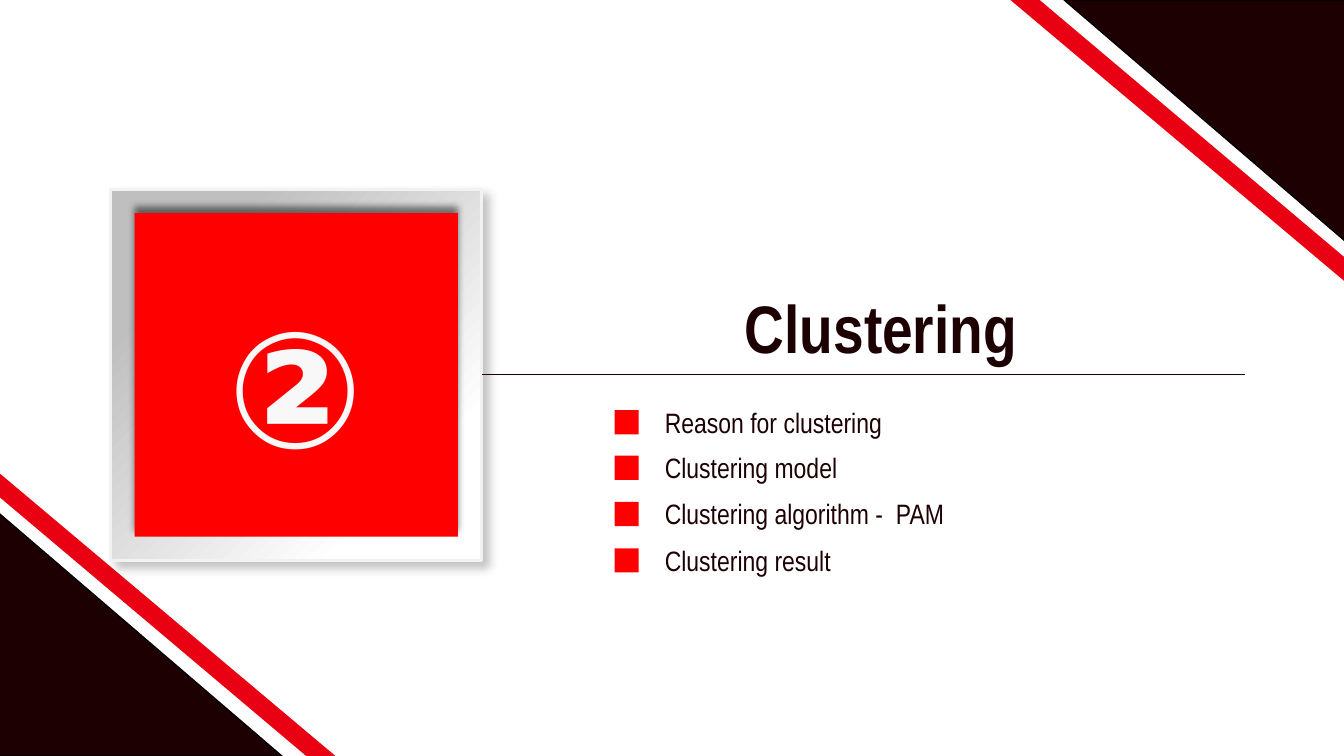
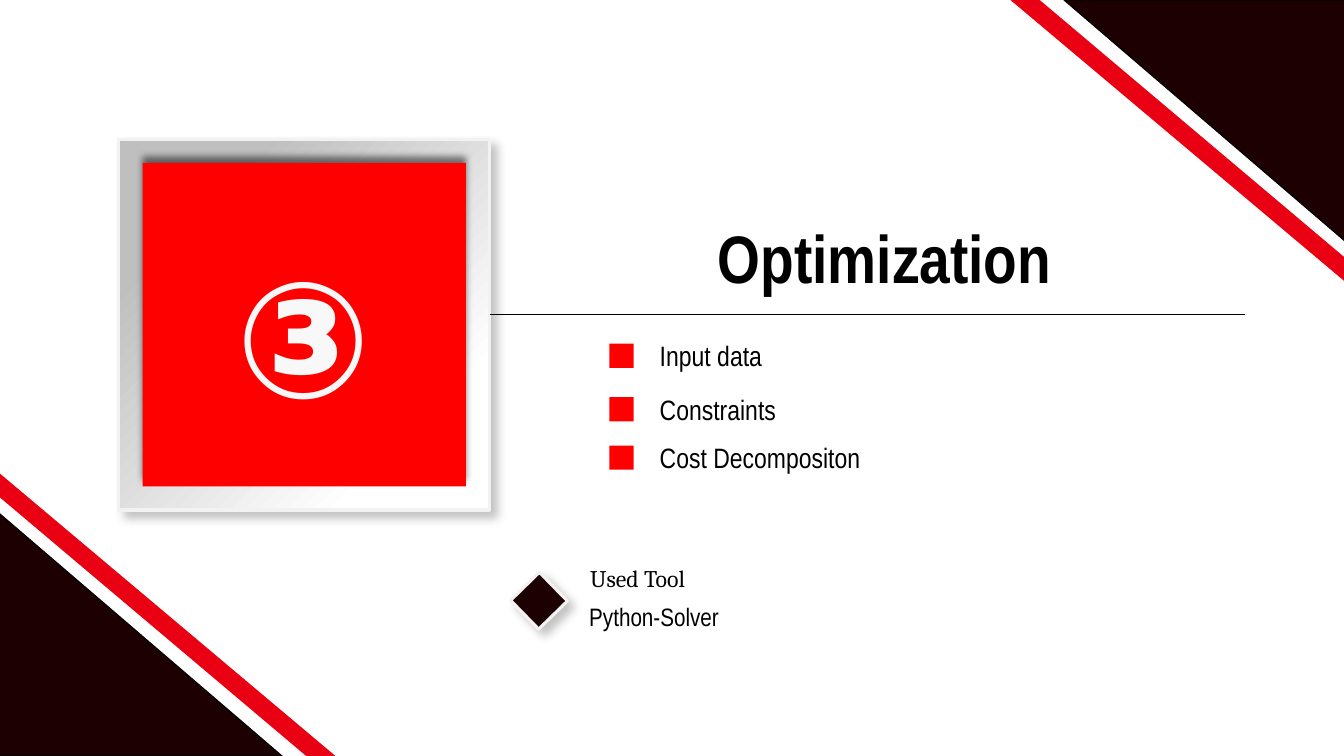
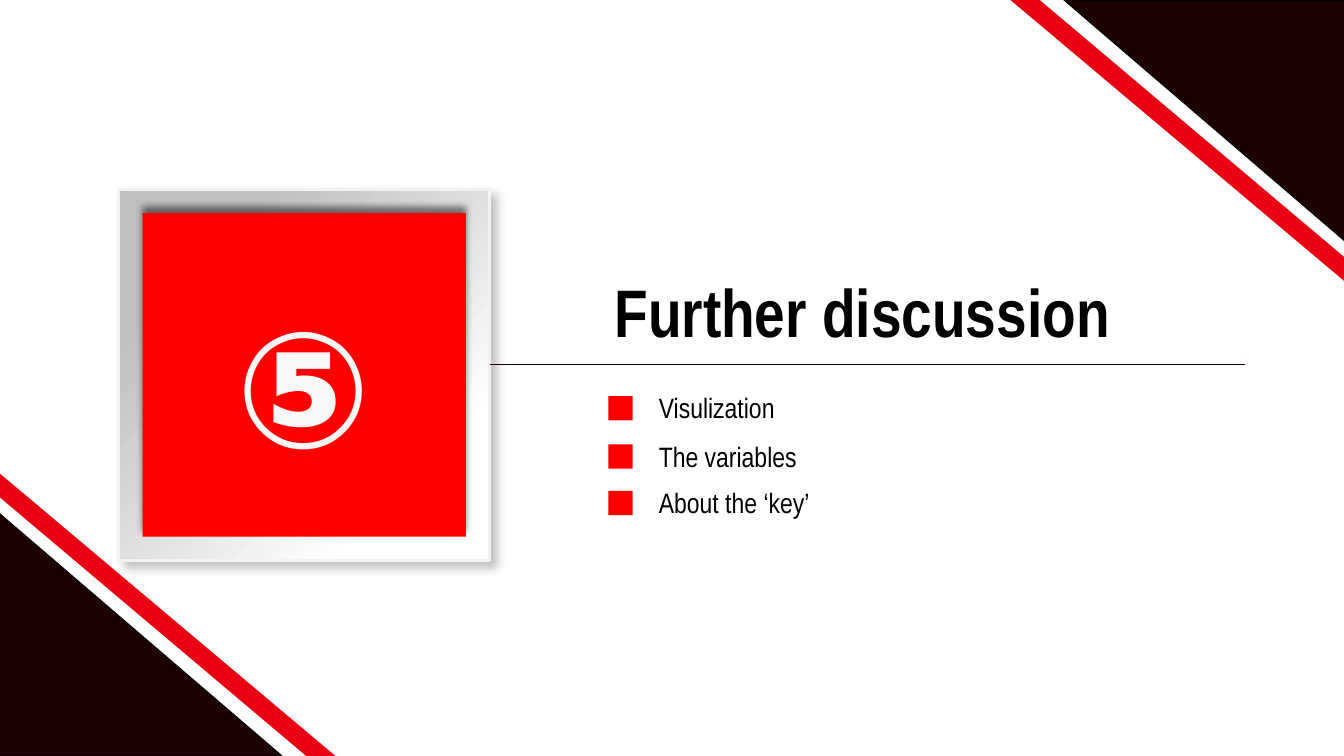
import pptx
import pptx.util
import pptx.dml.color
import pptx.enum.shapes
import pptx.enum.text
import pptx.oxml.ns
from lxml import etree

Inches, Pt = pptx.util.Inches, pptx.util.Pt
SHAPE = pptx.enum.shapes.MSO_SHAPE
ALIGN = pptx.enum.text.PP_ALIGN
qn = pptx.oxml.ns.qn

COLORS = {"dark": "1C0002", "black": "000000", "stripe": "E90012", "red": "FF0000",
          "silver": "BFBFBF", "white": "FFFFFF", "edge": "F2F2F2", "number": "F8F8F8"}
FONT = "Arial Narrow"
WIDTH, HEIGHT = 13.34, 7.5
FRAME, INNER = 3.68, 3.21
BULLET = 0.24
RULE_END = 12.36
# Shadows: opacity %, blur pt, distance pt, direction in degrees
SOFT_SHADOW = (23, 7, 5.9, 45)
INSET_SHADOW = (50, 5, 4.5, 270)

STRIPE = [(-0.01, 4.69), (3.33, 7.5), (3.04, 7.5), (-0.03, 4.91)]

SECTIONS = [
    {"number": "②", "frame": (1.1, 1.88), "title": "Clustering",
     "title_at": (4.96, 2.79, 7.57), "rule": 3.72,
     "text_color": "dark", "rule_color": "dark", "bullet_left": 6.1,
     "bullets": [("Reason for clustering", 4.07), ("Clustering model", 4.52),
                 ("Clustering algorithm -  PAM", 4.98), ("Clustering result", 5.44)]},
    {"number": "③", "frame": (1.18, 1.38), "title": "Optimization",
     "title_at": (5.19, 2.1, 7.18), "rule": 3.12,
     "text_color": "black", "rule_color": "black", "bullet_left": 6.05,
     "bullets": [("Input data", 3.41), ("Constraints", 3.94), ("Cost Decompositon", 4.42)],
     "tool": ("Used Tool", "Python-Solver")},
    {"number": "⑤", "frame": (1.18, 1.88), "title": "Further discussion",
     "title_at": (4.65, 2.63, 7.82), "rule": 3.62,
     "text_color": "black", "rule_color": "dark", "bullet_left": 6.04,
     "bullets": [("Visulization", 3.93), ("The variables", 4.41), ("About the ‘key’", 4.87)]},
]


def rgb(name):
    return pptx.dml.color.RGBColor.from_string(COLORS[name])


def style(shape, fill, line=None, weight=0.75, shadow=None):
    """Set fill (None keeps the present one), outline and shadow."""
    if fill:
        shape.fill.solid()
        shape.fill.fore_color.rgb = rgb(fill)
    if line:
        shape.line.color.rgb = rgb(line)
        shape.line.width = Pt(weight)
    else:
        shape.line.fill.background()
    shape.shadow.inherit = False
    if shadow:
        opacity, blur, distance, direction = shadow
        effects = shape.element.spPr.find(qn("a:effectLst"))
        outer = etree.SubElement(effects, qn("a:outerShdw"), blurRad=str(Pt(blur)),
                                 dist=str(Pt(distance)), dir=str(direction * 60000),
                                 algn="ctr", rotWithShape="0")
        color = etree.SubElement(outer, qn("a:srgbClr"), val=COLORS["black"])
        etree.SubElement(color, qn("a:alpha"), val=str(opacity * 1000))


def add_block(page, kind, left, top, width, height):
    return page.shapes.add_shape(kind, Inches(left), Inches(top), Inches(width), Inches(height))


def add_text(page, text, left, top, width, height, size, color,
             bold=False, align=ALIGN.LEFT, font=FONT, spacing=None):
    box = page.shapes.add_textbox(Inches(left), Inches(top), Inches(width), Inches(height))
    box.text_frame.word_wrap = True
    box.text_frame.text = text
    para = box.text_frame.paragraphs[0]
    para.alignment = align
    if spacing:
        para.line_spacing = spacing
    span = para.runs[0].font
    span.name, span.size, span.bold = font, Pt(size), bold
    span.color.rgb = rgb(color)


def add_corners(page):
    """Dark triangle and red stripe at bottom left, turned half round at top right."""
    tri_width, tri_height = 2.81, 2.41
    for turned in (False, True):
        left, top = (10.56, 0) if turned else (-0.01, HEIGHT - tri_height)
        triangle = add_block(page, SHAPE.RIGHT_TRIANGLE, left, top, tri_width, tri_height)
        triangle.rotation = 180 if turned else 0
        style(triangle, "dark", "black")
        points = [(13.36 - x, HEIGHT - y) if turned else (x, y) for x, y in STRIPE]
        corners = [(Inches(x), Inches(y)) for x, y in points]
        builder = page.shapes.build_freeform(*corners[0])
        builder.add_line_segments(corners[1:], close=True)
        style(builder.convert_to_shape(), "stripe")


def add_number_frame(page, number, left, top):
    frame = add_block(page, SHAPE.RECTANGLE, left, top, FRAME, FRAME)
    frame.fill.gradient()
    frame.fill.gradient_angle = 315
    for stop, (position, color) in zip(frame.fill.gradient_stops,
                                       [(0.2, "silver"), (0.8, "white")]):
        stop.position = position
        stop.color.rgb = rgb(color)
    style(frame, None, "edge", 2.25, SOFT_SHADOW)
    inset = (FRAME - INNER) / 2
    panel = add_block(page, SHAPE.RECTANGLE, left + inset, top + inset, INNER, INNER)
    style(panel, "red", shadow=INSET_SHADOW)
    add_text(page, number, left + 0.35, top + 0.34, 2.97, 2.36, 115, "number",
             bold=True, align=ALIGN.CENTER, spacing=1.3)
    return frame


def add_rule(page, frame, left, top, color):
    """Line under the title, joined to the frame where it meets the side's middle."""
    rule = page.shapes.add_connector(pptx.enum.shapes.MSO_CONNECTOR.STRAIGHT,
                                     Inches(left), Inches(top), Inches(RULE_END), Inches(top))
    if abs(frame.top + frame.height / 2 - Inches(top)) < Inches(0.01):
        rule.begin_connect(frame, 3)
        rule.end_y = rule.begin_y
    rule.line.color.rgb = rgb(color)
    rule.line.width = Pt(0.75)
    etree.SubElement(rule.element.spPr, qn("a:effectLst"))


def add_tool(page, heading, name):
    diamond = add_block(page, SHAPE.RECTANGLE, 5.15, 5.76, 0.4, 0.4)
    diamond.rotation = 45.7
    style(diamond, "dark", "edge", 2.25, SOFT_SHADOW)
    add_text(page, heading, 5.76, 5.54, 1.75, 0.39, 17, "black", font="Cambria")
    add_text(page, name, 5.75, 5.92, 2.38, 0.64, 18, "black", align=ALIGN.JUSTIFY)


def add_section(deck, section):
    page = deck.slides.add_slide(deck.slide_layouts[6])
    add_corners(page)
    left, top = section["frame"]
    frame = add_number_frame(page, section["number"], left, top)
    add_rule(page, frame, left + FRAME, section["rule"], section["rule_color"])
    add_text(page, section["title"], *section["title_at"], 0.91, 48, section["text_color"],
             bold=True, align=ALIGN.CENTER)
    for label, bullet_top in section["bullets"]:
        bullet_left = section["bullet_left"]
        bullet = add_block(page, SHAPE.RECTANGLE, bullet_left, bullet_top, BULLET, BULLET)
        style(bullet, "red")
        add_text(page, label, bullet_left + 0.4, bullet_top - 0.1, 4.42, 0.44, 20,
                 section["text_color"])
    if "tool" in section:
        add_tool(page, *section["tool"])


def main():
    deck = pptx.Presentation()
    deck.slide_width, deck.slide_height = Inches(WIDTH), Inches(HEIGHT)
    for section in SECTIONS:
        add_section(deck, section)
    deck.save("out.pptx")


if __name__ == "__main__":
    main()
